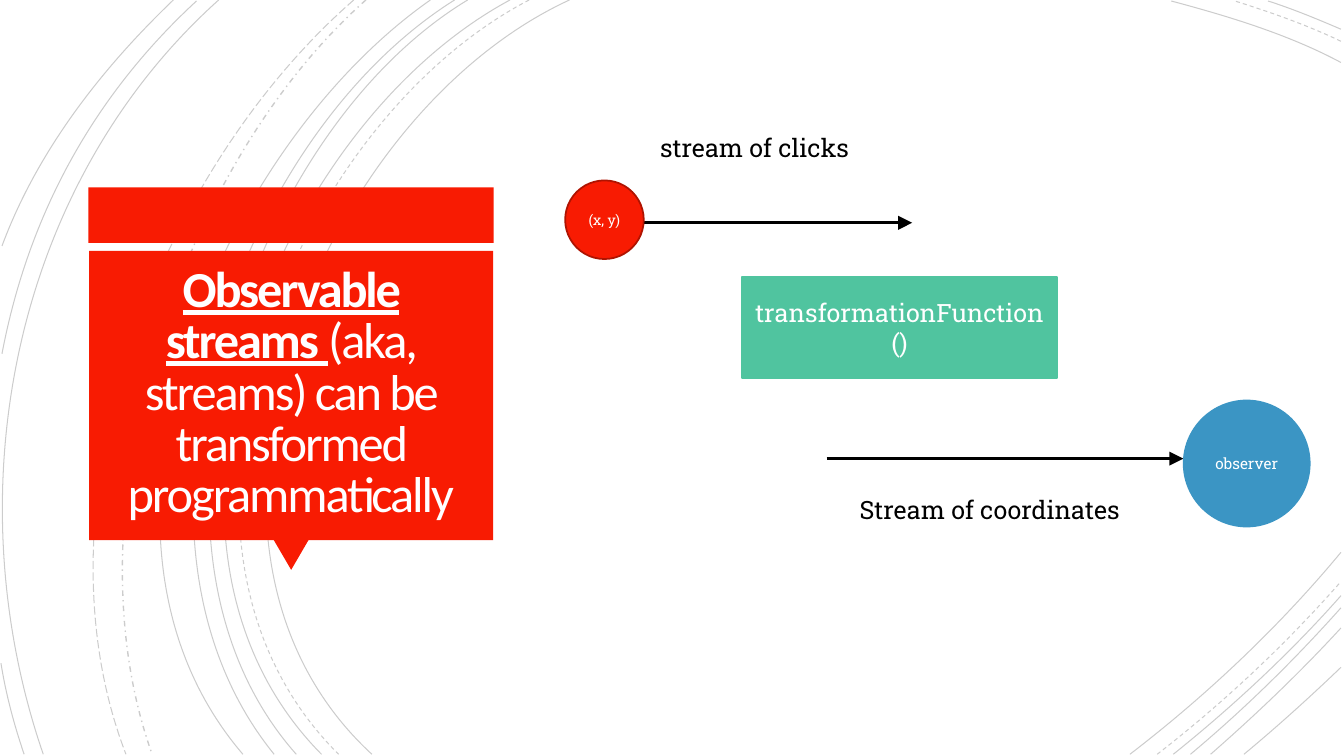
from lxml.etree import SubElement
from pptx import Presentation
from pptx.dml.color import RGBColor
from pptx.enum.dml import MSO_LINE
from pptx.enum.shapes import MSO_CONNECTOR, MSO_SHAPE
from pptx.enum.text import MSO_ANCHOR, PP_ALIGN
from pptx.oxml.ns import qn
from pptx.util import Inches, Pt

COLUMNS, ROWS = 40, 22.5
CELL = Inches(1) / 3
CURVE_STEPS = 64
RIGHT, BOTTOM = 39.91, 22.45

COLOURS = {
    "red": "F81B02",
    "dark red": "AF1301",
    "blue": "3B95C4",
    "green": "50C49F",
    "black": "000000",
    "white": "FFFFFF",
    "title": "FFFEFF",
}

BODY = {"name": "Roboto Slab", "size": Pt(18), "bold": False}
TITLE = {"name": "Calibri", "size": Pt(36)}
CENTRED = {"alignment": PP_ALIGN.CENTER}

SOLID, DASH = MSO_LINE.SOLID, MSO_LINE.DASH
DASH_DOT, LONG_DASH = MSO_LINE.DASH_DOT, MSO_LINE.LONG_DASH

LEFT_ARCS = [
    (16.95, (9.45, 3.45), (4.29, 16.2), 11.07, SOLID),
    (15.75, (8.55, 3.75), (3.69, 16.11), 10.08, DASH),
    (15.18, (8.1, 3.81), (3.3, 16.11), 9.57, SOLID),
    (13.92, (7.32, 3.99), (3.3, 16.23), 8.82, SOLID),
    (13.53, (6.93, 4.14), (2.91, 15.99), 8.16, SOLID),
    (12.81, (6.51, 4.41), (1.59, 15.87), 7.23, SOLID),
    (10.89, (5.28, 4.98), (1.95, 15.27), 4.53, DASH_DOT),
    (10.53, (4.71, 5.07), (0.87, 14.97), 3.75, LONG_DASH),
    (6.51, (0.33, 5.55), (-1.38, 14.7), 1.29, SOLID),
]
TOP_ARCS = [
    (1.86, (38.34, 1.02), (36.54, 0.48), 34.86, SOLID),
    (1.23, (38.91, 0.75), (37.8, 0.36), 36.75, DASH),
    (0.87, (39.21, 0.57), (38.49, 0.27), 37.74, SOLID),
]
BOTTOM_ARCS = [
    (33.63, (35.91, 20.7), (38.07, 18.66), 16.44, SOLID),
    (34.44, (36.39, 20.94), (38.25, 19.2), 17.31, DASH),
    (34.92, (36.69, 21.03), (38.4, 19.44), 17.73, SOLID),
    (35.43, (37.02, 21.12), (38.52, 19.65), 18.09, SOLID),
    (36.03, (37.38, 21.27), (38.7, 20.01), 18.69, SOLID),
    (37.02, (38.01, 21.63), (38.97, 20.76), 19.86, SOLID),
]
EDGE_ARCS = [
    ((5.85, 0.03), (2.76, 2.88), (0.84, 6.42), (0.06, 10.53), SOLID),
    ((0.03, 19.74), (0.18, 20.67), (0.42, 21.57), (0.72, BOTTOM), SOLID),
    ((5.16, 0), (3, 2.07), (1.11, 4.5), (0.06, 7.32), SOLID),
]


def cells(*counts):
    return [round(count * CELL) for count in counts]


def colour(name):
    return RGBColor.from_string(COLOURS[name])


def assign(target, values):
    for name, value in values.items():
        setattr(target, name, value)


def axis_range(first, second, third, last):
    places = []
    for step in range(CURVE_STEPS + 1):
        t = step / CURVE_STEPS
        places.append((1 - t) ** 3 * first + 3 * t * (1 - t) ** 2 * second
                      + 3 * t * t * (1 - t) * third + t ** 3 * last)
    return cells(min(places), max(places))


def add_arc(page, *controls, dash):
    (left, right), (top, bottom) = [axis_range(*axis) for axis in zip(*controls)]
    builder = page.shapes.build_freeform(left, top)
    builder.add_line_segments([(right, bottom)], close=False)
    arc = builder.convert_to_shape()
    outline = arc._element.spPr.find(".//" + qn("a:path"))
    for segment in list(outline):
        outline.remove(segment)
    start = SubElement(outline, qn("a:moveTo"))
    bend = SubElement(outline, qn("a:cubicBezTo"))
    for parent, control in zip((start, bend, bend, bend), controls):
        x, y = cells(*control)
        SubElement(parent, qn("a:pt"), x=str(x - left), y=str(y - top))
    arc.shadow.inherit = False
    arc.fill.background()
    arc.line.color.rgb = colour("black")
    assign(arc.line, {"width": Pt(1 if dash == DASH_DOT else 0.75), "dash_style": dash})
    tint = arc.line.fill._xPr.find(qn("a:solidFill"))[0]
    SubElement(tint, qn("a:alpha"), val="20000")


def add_background(page):
    for start, first, second, end, dash in LEFT_ARCS:
        add_arc(page, (start, 0), first, second, (end, BOTTOM), dash=dash)
    for start, first, second, end, dash in TOP_ARCS:
        add_arc(page, (RIGHT, start), first, second, (end, 0.03), dash=dash)
    for start, first, second, end, dash in BOTTOM_ARCS:
        add_arc(page, (start, BOTTOM), first, second, (RIGHT, end), dash=dash)
    for *controls, dash in EDGE_ARCS:
        add_arc(page, *controls, dash=dash)


def write(para, text, tint, font):
    span = para.add_run()
    span.text = text
    assign(span.font, font)
    span.font.color.rgb = colour(tint)
    return span


def add_block(page, kind, place, fill, outline=None, text=None, size=18):
    block = page.shapes.add_shape(kind, *cells(*place))
    block.shadow.inherit = False
    block.fill.solid()
    block.fill.fore_color.rgb = colour(fill)
    if outline:
        block.line.color.rgb = colour(outline)
        block.line.width = Pt(1.25)
    else:
        block.line.fill.background()
    if text:
        block.text_frame.vertical_anchor = MSO_ANCHOR.MIDDLE
        para = block.text_frame.paragraphs[0]
        assign(para, CENTRED)
        write(para, text, "white", {**BODY, "size": Pt(size)})
    return block


def add_label(page, place, text):
    box = page.shapes.add_textbox(*cells(*place))
    box.text_frame.word_wrap = True
    write(box.text_frame.paragraphs[0], text, "black", BODY)


def add_title(page, place, spans):
    box = page.shapes.add_textbox(*cells(*place))
    inset = Inches(0.25)
    assign(box.text_frame, {
        "word_wrap": True, "vertical_anchor": MSO_ANCHOR.MIDDLE,
        "margin_left": inset, "margin_right": inset,
        "margin_top": inset, "margin_bottom": inset,
    })
    para = box.text_frame.paragraphs[0]
    assign(para, {**CENTRED, "line_spacing": 0.85})
    for text, strong in spans:
        span = write(para, text, "title", {**TITLE, "bold": strong, "underline": strong})
        span._r.get_or_add_rPr().set("spc", "-150")


def add_arrow(page, left, right, row):
    arrow = page.shapes.add_connector(
        MSO_CONNECTOR.STRAIGHT, *cells(left, row, right, row))
    arrow.line.color.rgb = colour("black")
    arrow.line.width = Pt(2)
    SubElement(arrow.line._get_or_add_ln(), qn("a:tailEnd"),
               type="triangle", w="lg", len="lg")
    SubElement(arrow._element.spPr, qn("a:effectLst"))


def main():
    deck = Presentation()
    deck.slide_width, deck.slide_height = cells(COLUMNS, ROWS)
    page = deck.slides.add_slide(deck.slide_layouts[6])
    add_background(page)

    add_block(page, MSO_SHAPE.RECTANGLE, (2.63, 5.58, 12.06, 1.65), "red")
    pointer = add_block(page, MSO_SHAPE.ISOSCELES_TRIANGLE, (8.14, 16.06, 1.05, 0.9), "red")
    pointer.rotation = 180
    add_block(page, MSO_SHAPE.RECTANGLE, (2.65, 7.47, 12.03, 8.61), "red")
    add_title(page, (2.91, 7.71, 11.49, 8.07), [
        ("Observable streams ", True),
        ("(aka, streams) can be transformed programmatically", False),
    ])

    add_arrow(page, 24.6, 35.22, 13.65)
    add_arrow(page, 17.01, 27.15, 6.63)
    add_block(page, MSO_SHAPE.OVAL, (16.82, 5.37, 2.34, 2.34), "red", "dark red", "(x, y)", 10)
    add_label(page, (19.35, 3.78, 6.69, 1.2), "stream of clicks")
    add_label(page, (25.29, 14.55, 9.03, 1.2), "Stream of coordinates")
    add_block(page, MSO_SHAPE.OVAL, (35.23, 11.92, 3.75, 3.75), "blue", "blue", "observer", 11)
    add_block(page, MSO_SHAPE.RECTANGLE, (22.08, 8.25, 9.39, 3), "green", "green",
              "transformationFunction()")
    deck.save("out.pptx")


if __name__ == "__main__":
    main()
